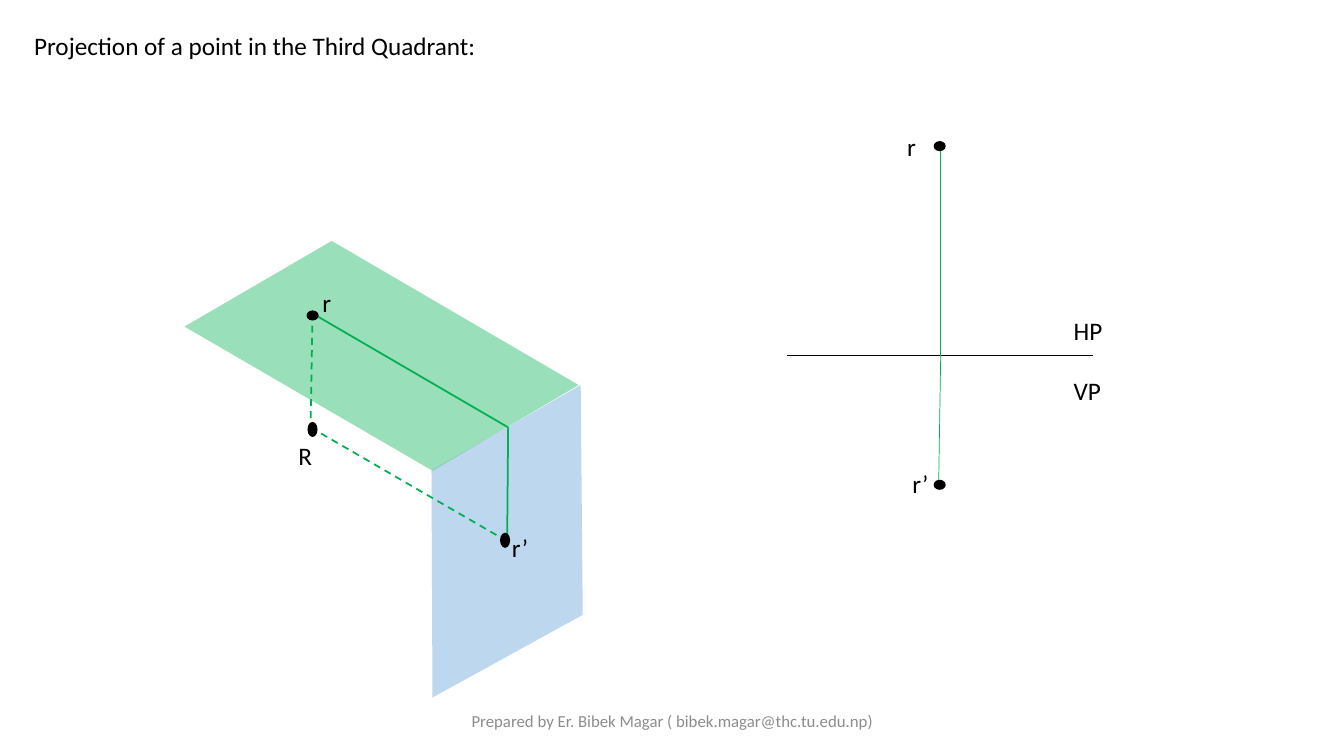
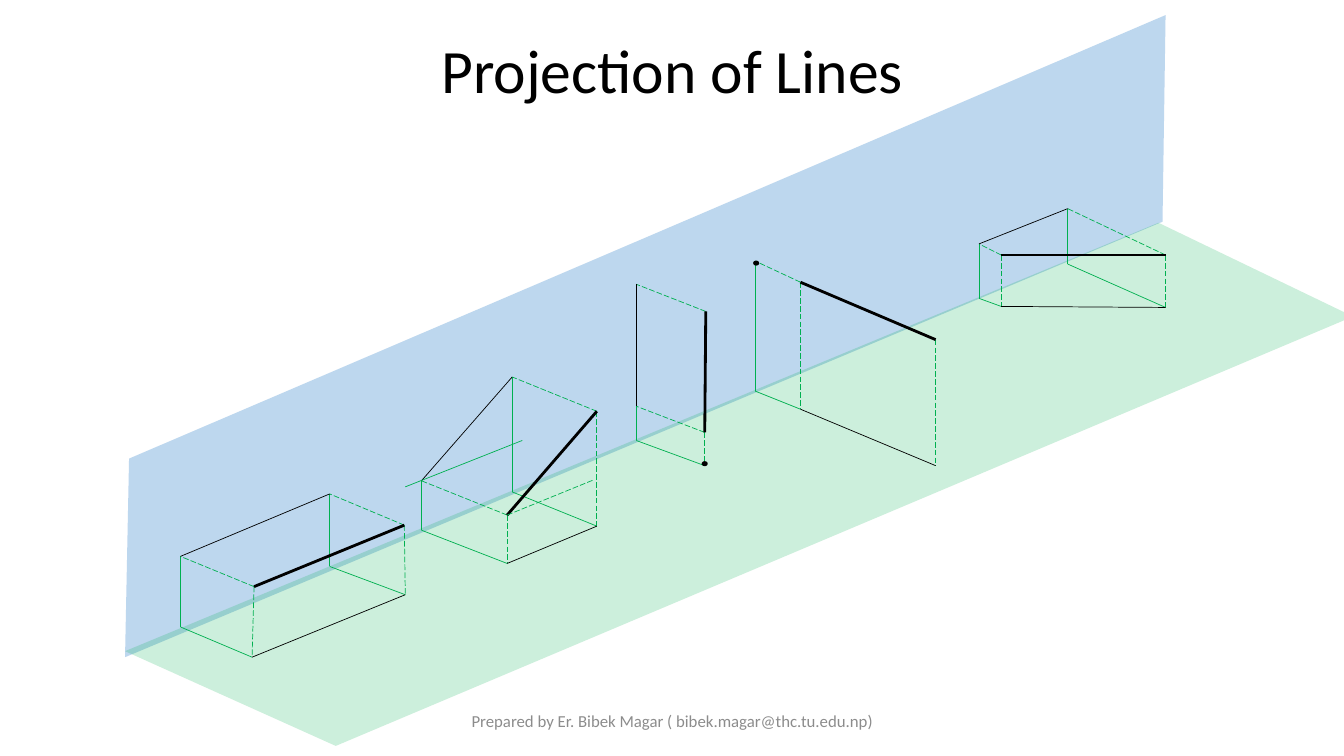
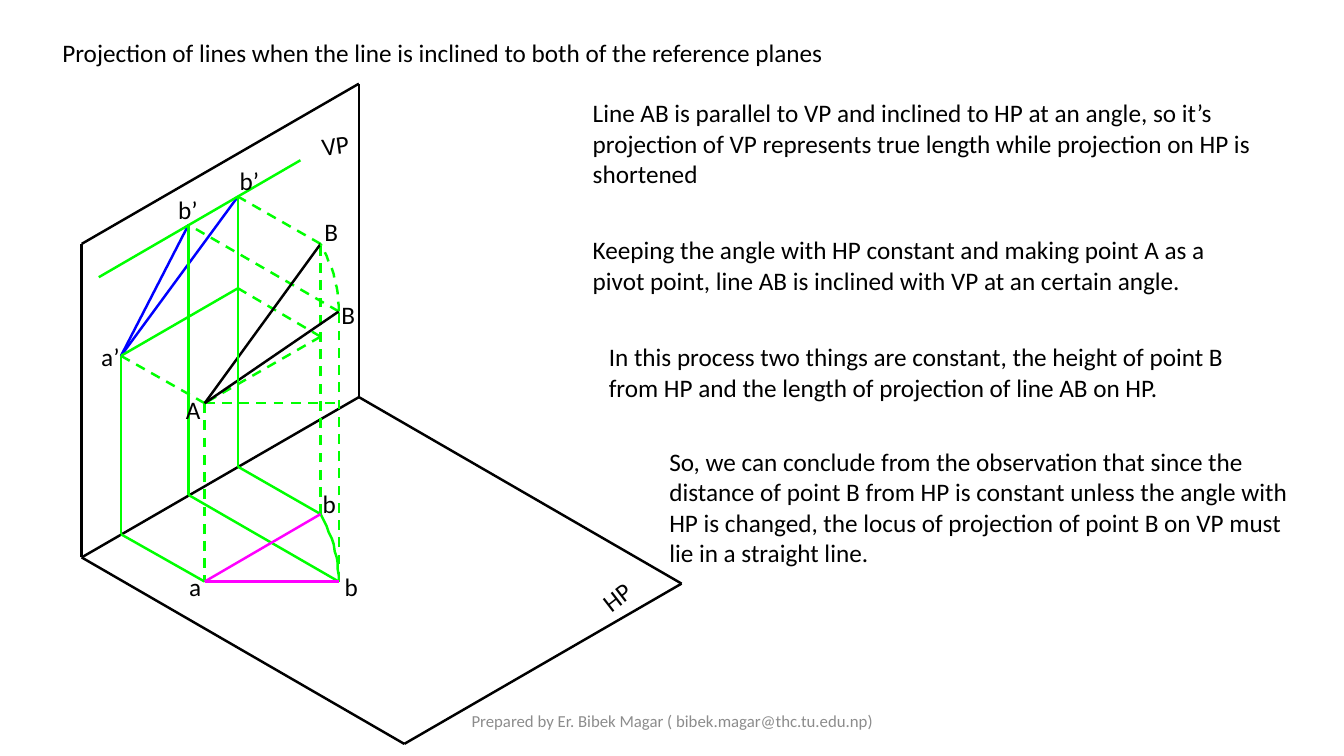
import dataclasses

import lxml.etree
import pptx
import pptx.dml.color
import pptx.enum.dml
import pptx.enum.shapes
import pptx.enum.text
import pptx.oxml.ns
import pptx.util

PX = 9144
ALIGN = pptx.enum.text.PP_ALIGN
DASH = pptx.enum.dml.MSO_LINE.DASH
LONG_DASH = pptx.enum.dml.MSO_LINE.LONG_DASH


@dataclasses.dataclass(frozen=True)
class Theme:
    font: str = "Calibri"
    ink: str = "000000"
    muted: str = "8C8C8C"
    blue: str = "5B9BD5"
    green: str = "00B050"
    lime: str = "00FF00"
    navy: str = "0000FF"
    magenta: str = "FF00FF"
    title: int = 44
    body: int = 18
    footer: int = 12
    thin: float = 0.5
    medium: float = 1.25
    firm: float = 1.75
    thick: float = 2


T = Theme()


def rgb(color):
    return pptx.dml.color.RGBColor.from_string(color)


def stroke(line, color, width, dash=None):
    line.color.rgb = rgb(color)
    line.width = pptx.util.Pt(width)
    if dash:
        line.dash_style = dash


@dataclasses.dataclass
class Region:
    s: object
    x: int = 0
    y: int = 0

    def line(self, start, end, color, width, dash=None):
        ends = [(self.x + px, self.y + py) for px, py in (start, end)]
        c = self.s.shapes.add_connector(
            pptx.enum.shapes.MSO_CONNECTOR.STRAIGHT,
            *(v * PX for point in ends for v in point))
        stroke(c.line, color, width, dash)
        lxml.etree.SubElement(c._element.spPr, pptx.oxml.ns.qn("a:effectLst"))

    def lines(self, points, edges, color, width, dash=None):
        for edge in edges:
            start, end = edge.split()
            if start in points and end in points:
                self.line(points[start], points[end], color, width, dash)

    def outline(self, points, close):
        points = [(self.x + px, self.y + py) for px, py in points]
        fb = self.s.shapes.build_freeform(*points[0], scale=PX)
        fb.add_line_segments(points[1:], close=close)
        sp = fb.convert_to_shape()
        sp.shadow.inherit = False
        return sp

    def plane(self, points, color, opacity):
        sp = self.outline(points, True)
        sp.fill.solid()
        sp.fill.fore_color.rgb = rgb(color)
        tint = sp.fill._xPr.find(".//" + pptx.oxml.ns.qn("a:srgbClr"))
        alpha = lxml.etree.SubElement(tint, pptx.oxml.ns.qn("a:alpha"))
        alpha.set("val", str(opacity * 1000))
        sp.line.fill.background()

    def curve(self, points, color, width, dash=None):
        sp = self.outline(points, False)
        sp.fill.background()
        stroke(sp.line, color, width, dash)

    def dot(self, center, w, h):
        left, top = self.x + center[0] - w / 2, self.y + center[1] - h / 2
        sp = self.s.shapes.add_shape(
            pptx.enum.shapes.MSO_SHAPE.OVAL,
            *(round(v * PX) for v in (left, top, w, h)))
        sp.shadow.inherit = False
        sp.fill.solid()
        sp.fill.fore_color.rgb = rgb(T.ink)
        sp.line.fill.background()

    def text(self, text, x, y, w, h=40, size=T.body, color=T.ink,
             align=ALIGN.LEFT, middle=False, rotation=0):
        sp = self.s.shapes.add_textbox(
            *(v * PX for v in (self.x + x, self.y + y, w, h)))
        sp.rotation = rotation
        tf = sp.text_frame
        tf.word_wrap = True
        if middle:
            tf.vertical_anchor = pptx.enum.text.MSO_ANCHOR.MIDDLE
        p = tf.paragraphs[0]
        p.text = text
        p.alignment = align
        for r in p.runs:
            r.font.name = T.font
            r.font.size = pptx.util.Pt(size)
            r.font.color.rgb = rgb(color)
        return p


def new_slide(prs):
    s = prs.slides.add_slide(prs.slide_layouts[6])
    Region(s).text("Prepared by Er. Bibek Magar ( bibek.magar@thc.tu.edu.np)",
                   442, 695, 450, size=T.footer, color=T.muted,
                   align=ALIGN.CENTER, middle=True)
    return s


def quadrant_view(s, x, y):
    box = Region(s, x, y)
    box.plane([(245, 228), (393, 143), (395, 371), (246, 453)], T.blue, 40)
    box.plane([(246, 228), (391, 143), (146, 0), (0, 85)], T.green, 40)
    points = {"r": (127, 72), "R": (125, 185),
              "fold": (321, 185), "r’": (320, 298)}
    box.lines(points, ["r R", "R r’"], T.green, T.medium, DASH)
    box.lines(points, ["r fold", "fold r’"], T.green, T.medium)
    box.dot((127, 187), 10, 15)
    box.dot((318, 297), 10, 15)
    box.dot((127, 74), 12, 10)
    box.text("R", 103, 193, 72)
    box.text("r’", 315, 284, 44)
    box.text("r", 127, 41, 36)


def orthographic_view(s, x, y):
    box = Region(s, x, y)
    box.line((0, 228), (303, 228), T.ink, T.thin)
    box.line((152, 228), (152, 15), T.green, T.thin)
    box.line((150, 355), (152, 228), T.green, T.thin)
    for center in ((151, 20), (151, 356)):
        box.dot(center, 12, 10)
    box.text("HP", 274, 183, 58)
    box.text("VP", 274, 242, 58)
    box.text("r", 109, 0, 36)
    box.text("r’", 114, 335, 44)


def point_slide(prs):
    s = new_slide(prs)
    Region(s).text("Projection of a point in the Third Quadrant:", 24, 25, 507)
    quadrant_view(s, 183, 239)
    orthographic_view(s, 781, 125)


def reference_planes(s, x, y):
    box = Region(s, x, y)
    box.plane([(1029, 205), (0, 637), (4, 440), (1032, 0)], T.blue, 40)
    box.plane([(0, 631), (1025, 206), (1218, 299), (209, 725)], T.green, 20)


def line_case(s, x, y, points):
    box = Region(s, x, y)
    box.lines(points, ["P p’", "Q q’", "P p", "Q q"],
              T.green, T.thin, LONG_DASH)
    box.lines(points, ["p px", "q qx", "px p’", "qx q’"], T.green, T.thin)
    box.lines(points, ["p q", "p’ q’"], T.ink, T.thin)
    box.lines(points, ["P Q"], T.ink, T.thick)
    return box


def lines_slide(prs):
    s = new_slide(prs)
    p = Region(s).text("Projection of Lines", 92, 0, 1150, 145, size=T.title,
                       align=ALIGN.CENTER, middle=True)
    p.line_spacing = 0.9
    reference_planes(s, 124, 15)
    line_case(s, 179, 490, {
        "P": (73, 92), "Q": (222, 31), "p’": (0, 62), "q’": (148, 0),
        "p": (71, 162), "q": (223, 100), "px": (0, 132), "qx": (148, 72)})
    inclined = line_case(s, 402, 374, {
        "P": (101, 137), "Q": (190, 34), "p’": (16, 103), "q’": (106, 0),
        "p": (101, 185), "q": (190, 148), "px": (16, 152), "qx": (106, 114)})
    inclined.line((101, 137), (187, 102), T.green, T.thin, LONG_DASH)
    inclined.line((0, 109), (116, 63), T.green, T.thin)
    upright = line_case(s, 631, 282, {
        "P": (68, 147), "Q": (69, 27), "p’": (0, 121), "q’": (0, 0),
        "p": (68, 180), "px": (0, 155)})
    upright.dot((68, 178), 6, 5)
    receding = line_case(s, 749, 259, {
        "P": (45, 21), "Q": (179, 78), "p’": (0, 0),
        "p": (45, 147), "q": (179, 203), "px": (0, 129)})
    receding.dot((1, 2), 6, 5)
    line_case(s, 971, 207, {
        "P": (22, 46), "Q": (185, 46), "p’": (0, 35), "q’": (88, 0),
        "p": (22, 97), "q": (185, 98), "px": (0, 89), "qx": (88, 55)})


def swing(x, y, w, h, steps=11):
    return [(x + round(w * (1 - (k / steps) ** 2)),
             y + round(h * (1 - k / steps))) for k in range(steps + 1)]


def inclined_view(s, x, y):
    box = Region(s, x, y)
    points = {
        "left": (0, 470), "right": (275, 311), "front": (320, 655),
        "end": (595, 496), "topleft": (0, 159), "topright": (275, 0),
        "A": (122, 317), "a": (122, 494), "a’": (39, 270), "ax": (39, 447),
        "B1": (237, 159), "b1": (237, 427), "b1’": (155, 112),
        "b1x": (155, 380), "B2": (255, 226), "b2": (255, 494),
        "b2’": (106, 140), "b2x": (106, 408), "level1": (237, 251),
        "level1’": (155, 203), "level2": (255, 317),
        "locus1": (217, 76), "locus2": (17, 192)}
    box.lines(points, ["left right", "left front", "end right", "left topleft",
                       "topleft topright", "right topright", "front end"],
              T.ink, T.firm)
    box.lines(points, ["b1 B1", "level1 A", "A a", "A a’", "level1 level1’",
                       "B1 b1’", "b2 B2", "A level2", "B2 b2’"],
              T.lime, T.firm, DASH)
    box.lines(points, ["A B1", "B2 A"], T.ink, T.firm)
    box.lines(points, ["a’ b1’", "a’ b2’"], T.navy, T.firm)
    box.curve(swing(237, 427, 18, 67), T.lime, T.firm)
    box.curve(swing(237, 159, 18, 67), T.lime, T.firm, DASH)
    box.lines(points, ["a ax", "ax a’", "b1 b1x", "b1x b1’", "locus1 locus2",
                       "a’ level1’", "b2 b2x", "b2x b2’"], T.lime, T.firm)
    box.lines(points, ["a b1", "a b2"], T.magenta, T.firm)
    box.text("VP", 216, 41, 71, align=ALIGN.CENTER, rotation=352.4)
    box.text("HP", 495, 489, 71, align=ALIGN.CENTER, rotation=322.3)
    for label, lx, ly in (
            ("A", 69, 303), ("a", 71, 479), ("b", 204, 397), ("a’", -13, 251),
            ("b’", 64, 105), ("B", 206, 127), ("B", 223, 209),
            ("b", 226, 479), ("b’", 125, 76)):
        box.text(label, lx, ly, 83, align=ALIGN.CENTER)


def observations(s, x, y):
    box = Region(s, x, y)
    for text, nx, ny, w, h in (
            ("Line AB is parallel to VP and inclined to HP at an angle, so "
             "it’s projection of VP represents true length while projection "
             "on HP is shortened", 0, 0, 729, 101),
            ("Keeping the angle with HP constant and making point A as a "
             "pivot point, line AB is inclined with VP at an certain angle.",
             0, 136, 665, 71),
            ("In this process two things are constant, the height of point B "
             "from HP and the length of projection of line AB on HP.",
             16, 242, 637, 71),
            ("So, we can conclude from the observation that since the "
             "distance of point B from HP is constant unless the angle with "
             "HP is changed, the locus of projection of point B on VP must "
             "lie in a straight line.", 76, 346, 653, 131)):
        box.text(text, nx, ny, w, h)


def inclined_slide(prs):
    s = new_slide(prs)
    Region(s).text("Projection of lines when the line is inclined to both of "
                   "the reference planes", 52, 32, 991)
    inclined_view(s, 81, 83)
    observations(s, 578, 92)


def main():
    prs = pptx.Presentation()
    prs.slide_width, prs.slide_height = 1333 * PX, 750 * PX
    point_slide(prs)
    lines_slide(prs)
    inclined_slide(prs)
    prs.save("out.pptx")


if __name__ == "__main__":
    main()
